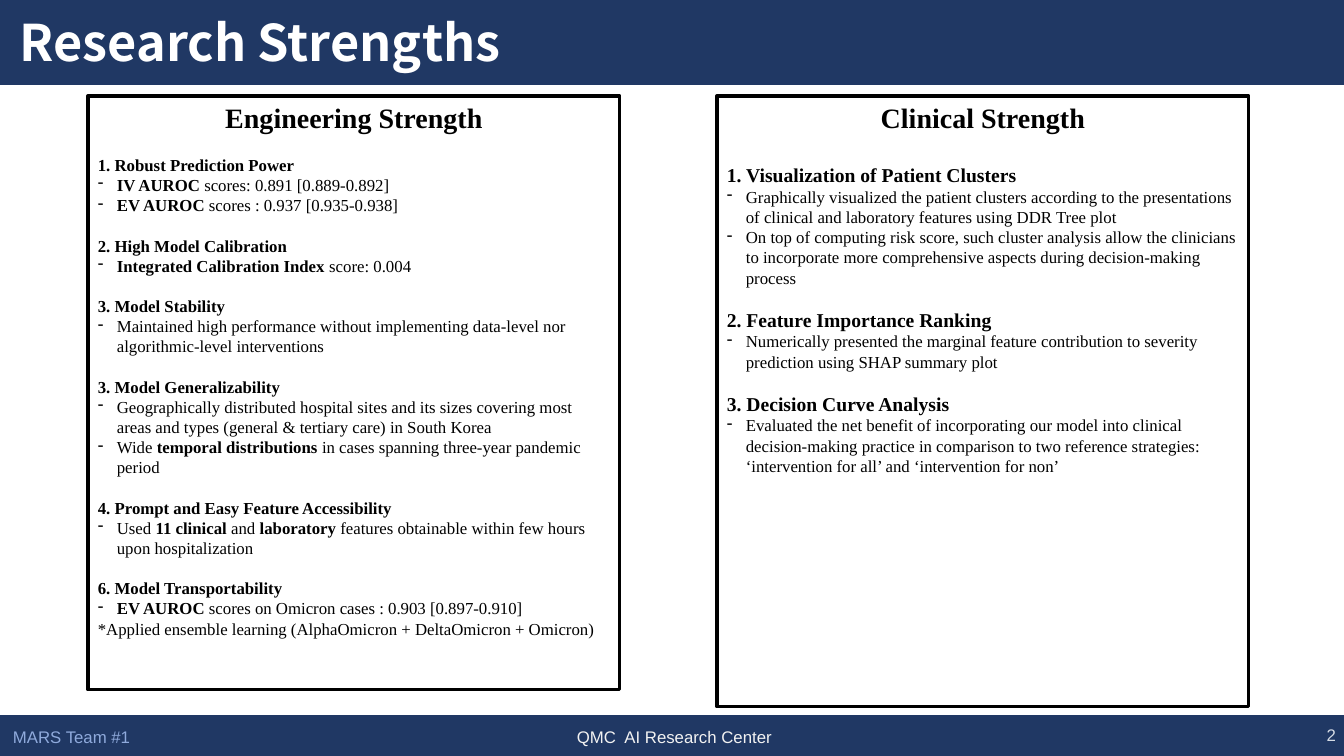
from dataclasses import dataclass

from lxml import etree
from pptx import Presentation
from pptx import util as u
from pptx.dml import color
from pptx.enum import shapes, text
from pptx.oxml import ns


@dataclass(frozen=True)
class Theme:
    navy: str = "203864"
    ink: str = "000000"
    white: str = "FFFFFF"
    center_name: str = "F2F2F2"
    team_name: str = "8FAADC"
    page_number: str = "D6DCE5"
    title_font: str = "Noto Sans CJK KR"
    body_font: str = "Times New Roman"
    footer_font: str = "Arial"
    title_size: int = 36
    panel_size: int = 20
    body_size: int = 12
    body_pitch: float = 14.4
    indent: int = 19
    frame: float = 2.25


class Deck:
    """Draws the parts of a slide in one theme, measured in px."""

    def __init__(self, theme, width, height):
        self.theme = theme
        self.show = Presentation()
        self.show.slide_width, self.show.slide_height = self.px(width), self.px(height)
        self.slide = self.show.slides.add_slide(self.show.slide_layouts[6])

    def px(self, length):
        return u.Emu(round(length * 914400 / 100.8))

    def rect(self, box, edge, weight, fill=None):
        panel = self.slide.shapes.add_shape(shapes.MSO_SHAPE.RECTANGLE, *map(self.px, box))
        panel.shadow.inherit = False
        if fill:
            panel.fill.solid()
            panel.fill.fore_color.rgb = color.RGBColor.from_string(fill)
        else:
            panel.fill.background()
        panel.line.color.rgb = color.RGBColor.from_string(edge)
        panel.line.width = u.Pt(weight)
        return panel

    def typeset(self, paragraph, words, font, size, ink, bold=False, **layout):
        layout = {"alignment": text.PP_ALIGN.LEFT, **layout}
        for name, value in layout.items():
            setattr(paragraph, name, value)
        for index, part in enumerate(words.split("**")):
            if not part:
                continue
            run = paragraph.add_run()
            run.text = part
            style = {"name": font, "size": u.Pt(size), "bold": bold or index % 2 == 1}
            for name, value in style.items():
                setattr(run.font, name, value)
            run.font.color.rgb = color.RGBColor.from_string(ink)

    def label(self, box, words, font, size, ink, wrap=False,
              anchor=text.MSO_ANCHOR.TOP, **style):
        frame = self.slide.shapes.add_textbox(*map(self.px, box)).text_frame
        frame.word_wrap, frame.vertical_anchor = wrap, anchor
        self.typeset(frame.paragraphs[0], words, font, size, ink, **style)

    def dash(self, paragraph):
        props = paragraph._p.get_or_add_pPr()
        indent = self.px(self.theme.indent)
        props.set("marL", str(indent))
        props.set("indent", str(-indent))
        etree.SubElement(props, ns.qn("a:buFontTx"))
        etree.SubElement(props, ns.qn("a:buChar")).set("char", "-")

    def panel(self, box, title, strengths, heading_size, first_gap):
        theme = self.theme
        frame = self.rect(box, theme.ink, theme.frame).text_frame
        frame.word_wrap, frame.vertical_anchor = True, text.MSO_ANCHOR.TOP
        self.typeset(frame.paragraphs[0], title, theme.body_font, theme.panel_size,
                     theme.ink, bold=True, alignment=text.PP_ALIGN.CENTER)
        gap = first_gap
        for heading, points in strengths:
            self.typeset(frame.add_paragraph(), heading, theme.body_font, heading_size,
                         theme.ink, bold=True, space_before=u.Pt(gap))
            gap = theme.body_pitch
            for point in points:
                paragraph = frame.add_paragraph()
                self.typeset(paragraph, point, theme.body_font, theme.body_size, theme.ink)
                if not point.startswith("*Applied"):
                    self.dash(paragraph)


ENGINEERING = [
    ("1. Robust Prediction Power", [
        "**IV AUROC** scores: 0.891 [0.889-0.892]",
        "**EV AUROC** scores : 0.937 [0.935-0.938]"]),
    ("2. High Model Calibration", [
        "**Integrated Calibration Index **score: 0.004"]),
    ("3. Model Stability", [
        "Maintained high performance without implementing data-level nor "
        "algorithmic-level interventions"]),
    ("3. Model Generalizability", [
        "Geographically distributed hospital sites and its sizes covering most areas "
        "and types (general & tertiary care) in South Korea",
        "Wide **temporal distributions **in cases spanning three-year pandemic period"]),
    ("4. Prompt and Easy Feature Accessibility", [
        "Used **11 clinical** and **laboratory** features obtainable within few hours "
        "upon hospitalization"]),
    ("6. Model Transportability", [
        "**EV AUROC **scores on Omicron cases : 0.903 [0.897-0.910]",
        "*Applied ensemble learning (AlphaOmicron + DeltaOmicron + Omicron)"]),
]
CLINICAL = [
    ("1. Visualization of Patient Clusters", [
        "Graphically visualized the patient clusters according to the presentations of "
        "clinical and laboratory features using DDR Tree plot",
        "On top of computing risk score, such cluster analysis allow the clinicians to "
        "incorporate more comprehensive aspects during decision-making process"]),
    ("2. Feature Importance Ranking", [
        "Numerically presented the marginal feature contribution to severity prediction "
        "using SHAP summary plot"]),
    ("3. Decision Curve Analysis", [
        "Evaluated the net benefit of incorporating our model into clinical "
        "decision-making practice in comparison to two reference strategies: "
        "‘intervention for all’ and ‘intervention for non’"]),
]


def main():
    theme = Theme()
    deck = Deck(theme, 1344, 756)
    for band in ((0, 0, 1344, 84), (0, 716, 1344, 40)):
        deck.rect(band, theme.navy, 1, fill=theme.navy)
    small = (theme.footer_font, theme.body_size)
    deck.label((1044, 715, 302, 40), "2", *small, theme.page_number, wrap=True,
               anchor=text.MSO_ANCHOR.MIDDLE, alignment=text.PP_ALIGN.RIGHT)
    deck.label((567, 722, 216, 30), "QMC  AI Research Center", *small, theme.center_name)
    deck.label((3, 722, 139, 30), "MARS Team #1", *small, theme.team_name)
    deck.label((10, 0, 1328, 77), "Research Strengths", theme.title_font, theme.title_size,
               theme.white, wrap=True, anchor=text.MSO_ANCHOR.BOTTOM, bold=True,
               line_spacing=0.9)
    deck.panel((88, 96, 532, 594), "Engineering Strength", ENGINEERING, 12, 14.4)
    deck.panel((717, 96, 532, 611), "Clinical Strength", CLINICAL, 14, 20.4)
    deck.show.save("out.pptx")


if __name__ == "__main__":
    main()
